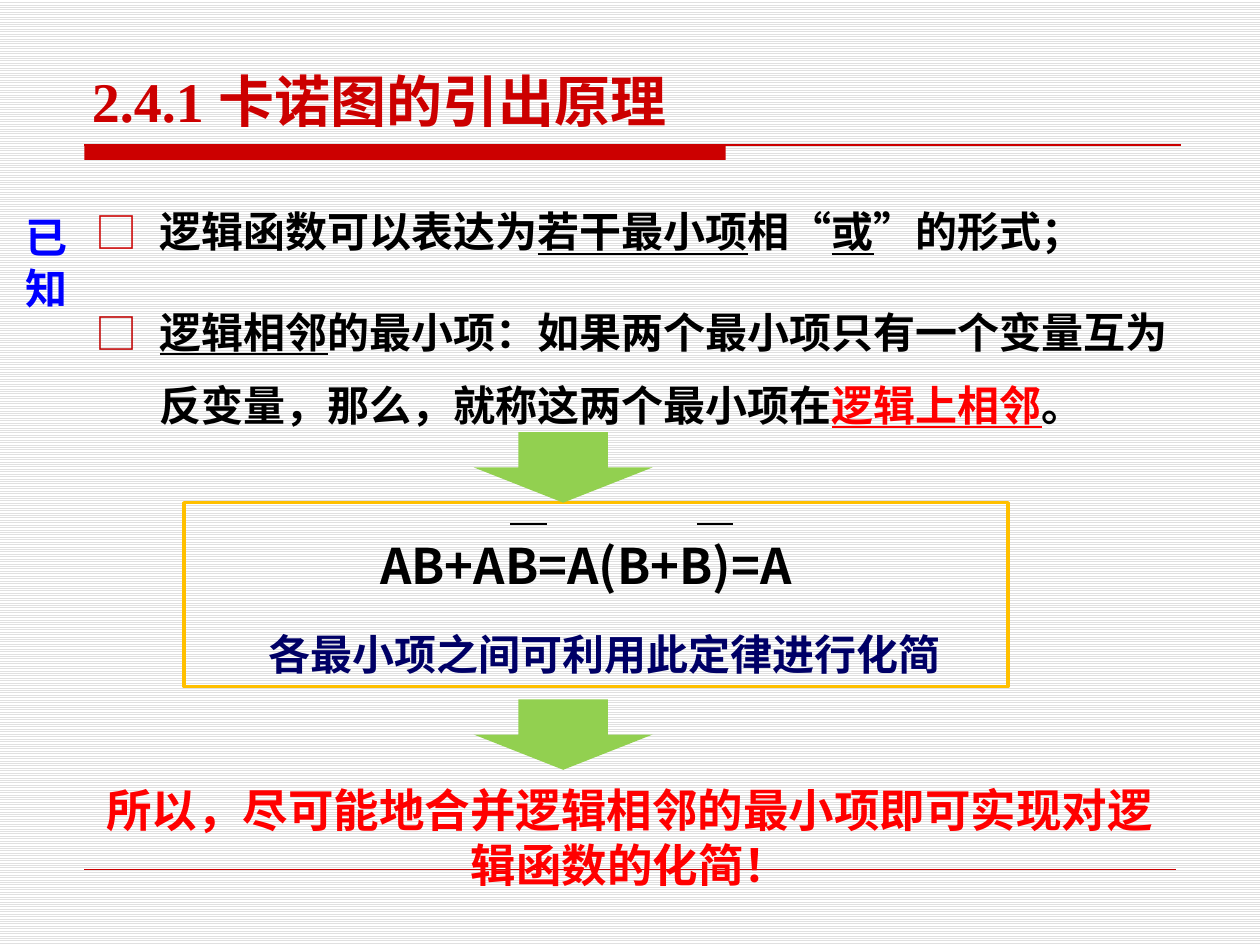
import pptx
import pptx.util
import pptx.dml.color
import pptx.enum.dml
import pptx.enum.shapes
import pptx.enum.text
import pptx.oxml.ns
import lxml.etree

Inches, Pt = pptx.util.Inches, pptx.util.Pt
qn = pptx.oxml.ns.qn
SHAPE = pptx.enum.shapes.MSO_SHAPE
ANCHOR = pptx.enum.text.MSO_ANCHOR
ALIGN = pptx.enum.text.PP_ALIGN
AUTO = pptx.enum.text.MSO_AUTO_SIZE

SANS = "Noto Sans CJK SC"
CRIMSON, RED, BLACK, NAVY, BLUE = "CC0000", "FF0000", "000000", "000066", "0000FF"
GOLD, GREEN = "FFC000", "92D050"


def rgb(value):
    return pptx.dml.color.RGBColor.from_string(value)


def child(parent, tag, **attributes):
    return lxml.etree.SubElement(parent, qn(tag), attributes)


class Page:
    def __init__(self, slide):
        self.slide = slide
        self.shapes = slide.shapes

    def background(self, fore, back):
        fill = self.slide.background.fill
        fill.patterned()
        fill.pattern = pptx.enum.dml.MSO_PATTERN.LIGHT_HORIZONTAL
        fill.fore_color.rgb, fill.back_color.rgb = rgb(fore), rgb(back)

    def group(self):
        return Page.within(self.slide, self.slide.shapes.add_group_shape().shapes)

    @classmethod
    def within(cls, slide, shapes):
        page = cls(slide)
        page.shapes = shapes
        return page

    def shape(self, kind, box, fill=None, line=None, width=1):
        shape = self.shapes.add_shape(kind, *map(Inches, box))
        shape.shadow.inherit = False
        for part, color in ((shape.fill, fill), (shape.line.fill, line)):
            if color:
                part.solid()
                part.fore_color.rgb = rgb(color)
            else:
                part.background()
        if line:
            shape.line.width = Pt(width)

    def line(self, start, end, color, width):
        line = self.shapes.add_connector(
            pptx.enum.shapes.MSO_CONNECTOR.STRAIGHT, *map(Inches, start + end))
        line.line.color.rgb = rgb(color)
        line.line.width = Pt(width)
        child(line._element.spPr, "a:effectLst")

    def text(self, box, paragraphs, size, color, holder=None, font=SANS,
             anchor=ANCHOR.TOP, align=ALIGN.LEFT, spaced=False, bullet=None, grow=True):
        """Each paragraph is a list of (text, overrides) runs."""
        holder = holder or self.shapes.add_textbox(0, 0, 0, 0)
        holder.left, holder.top, holder.width, holder.height = map(Inches, box)
        frame = holder.text_frame
        frame.word_wrap = True
        frame.auto_size = AUTO.SHAPE_TO_FIT_TEXT if grow else AUTO.NONE
        frame.vertical_anchor = anchor
        for number, runs in enumerate(paragraphs):
            paragraph = frame.add_paragraph() if number else frame.paragraphs[0]
            paragraph.alignment = align
            paragraph.font.size, paragraph.font.bold = Pt(size), True
            if spaced:
                self.space(paragraph)
            if bullet:
                self.bullet(paragraph, bullet)
            for words, style in runs:
                run = paragraph.add_run()
                run.text = words
                run.font.size, run.font.bold = Pt(size), True
                run.font.name = style.get("font", font)
                run.font.color.rgb = rgb(style.get("color", color))
                run.font.underline = style.get("underline", False)
                latin = run._r.rPr.find(qn("a:latin"))
                latin.addnext(latin.makeelement(qn("a:ea"), {"typeface": SANS}))

    def space(self, paragraph):
        paragraph.line_spacing = 1.45
        paragraph.space_before = Pt(0)
        before = paragraph._p.pPr.find(qn("a:spcBef"))
        before.remove(before[0])
        child(before, "a:spcPct", val="50000")

    def bullet(self, paragraph, color):
        properties = paragraph._p.pPr
        properties.set("marL", str(Inches(0.51)))
        properties.set("indent", str(-Inches(0.51)))
        marks = [properties.makeelement(qn(tag), attributes) for tag, attributes in (
            ("a:buClr", {}), ("a:buFont", {"typeface": SANS}), ("a:buChar", {"char": "□"}))]
        child(marks[0], "a:srgbClr", val=color)
        previous = properties.find(qn("a:spcBef"))
        for mark in marks:
            previous.addnext(mark)
            previous = mark


deck = pptx.Presentation()
deck.slide_width, deck.slide_height = Inches(10), Inches(7.5)
page = Page(deck.slides.add_slide(deck.slide_layouts[1]))
page.background("E0E0E0", "FFFFFF")
title, known_facts = page.slide.placeholders
underlined = {"underline": True}

# Rules under the title and at the foot
page.shape(SHAPE.RECTANGLE, (0.67, 1.15, 5.09, 0.12), CRIMSON)
page.line((0.67, 1.15), (9.37, 1.15), CRIMSON, 0.75)
page.line((0.67, 6.9), (9.33, 6.9), CRIMSON, 0.25)

# Title
page.text((0.63, 0.28, 8.75, 0.83),
          [[("2.4.1 ", {"font": "Times New Roman"}), ("卡诺图的引出原理", {})]],
          32, CRIMSON, title, "Arial Narrow", ANCHOR.BOTTOM, grow=False)

# Known facts
page.text((0.66, 1.4, 8.75, 0.69),
          [[("逻辑函数可以表达为", {}), ("若干最小项", underlined), ("相“", {}),
            ("或", underlined), ("”的形式；", {})]],
          24, BLACK, known_facts, spaced=True, bullet=CRIMSON)
page.text((0.66, 2.2, 8.75, 1.21),
          [[("逻辑相邻", underlined),
            ("的最小项：如果两个最小项只有一个变量互为反变量，那么，就称这两个最小项在", {}),
            ("逻辑上相邻", {"color": RED, "underline": True}), ("。", {})]],
          24, BLACK, spaced=True, bullet="C00000")
page.text((0.1, 2.02, 0.98, 0.51), [[("已", {})], [("知", {})]],
          24, BLUE, font="Arial Narrow", anchor=ANCHOR.BOTTOM, grow=False)

# Simplification law with its negation bars
law = page.group()
law.text((2.92, 3.99, 4.52, 0.78), [[("AB+AB=A(B+B)=A", {})]], 28, BLACK, spaced=True)
for bar_left in (4.05, 5.53):
    law.line((bar_left, 4.16), (bar_left + 0.29, 4.16), BLACK, 1)
law.text((2.03, 4.76, 6.31, 0.69), [[("各最小项之间可利用此定律进行化简", {})]],
         24, NAVY, spaced=True)
law.shape(SHAPE.RECTANGLE, (1.46, 3.99, 6.54, 1.46), line=GOLD, width=2)

# Arrows and conclusion
for arrow_top in (3.43, 5.55):
    page.shape(SHAPE.DOWN_ARROW, (3.76, arrow_top, 1.42, 0.56), GREEN)
page.text((0.59, 6.16, 8.82, 0.98),
          [[("所以，尽可能地合并逻辑相邻的最小项即可实现对逻辑函数的化简！", {})]],
          26, RED, align=ALIGN.CENTER)

deck.save("out.pptx")
